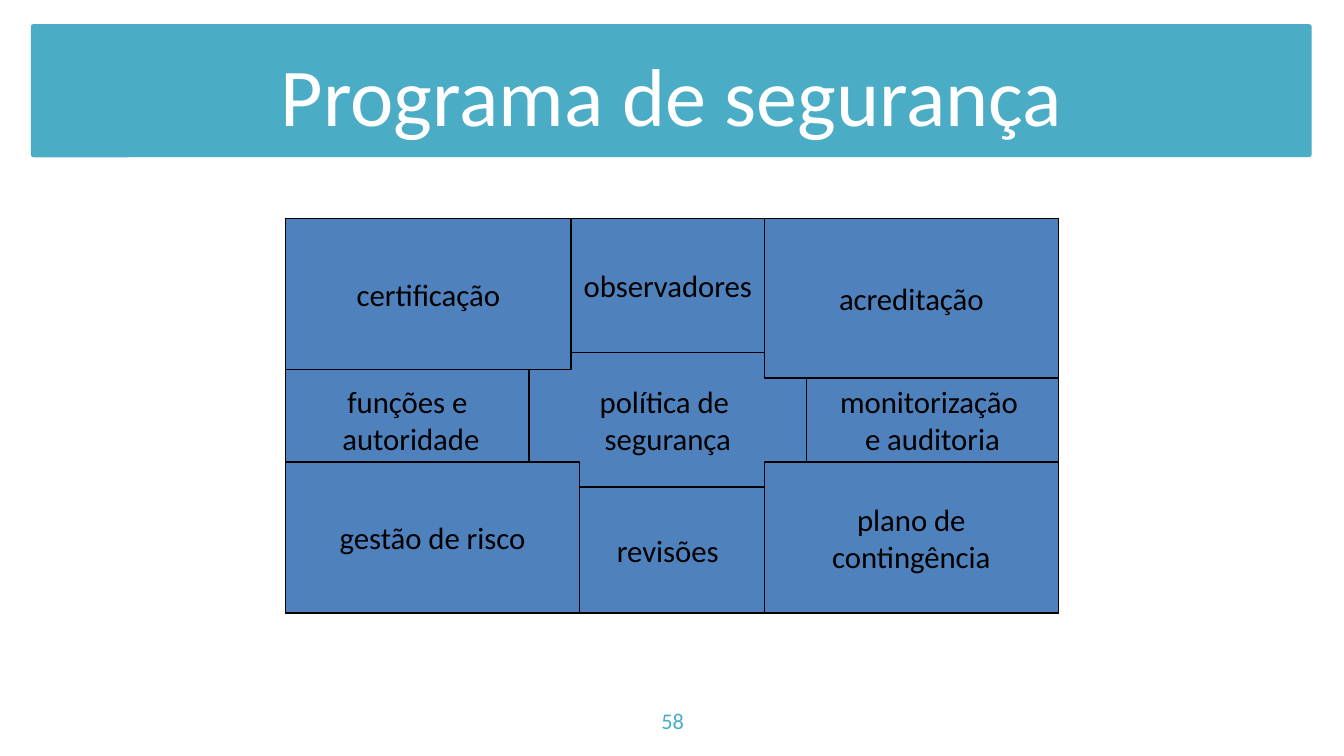
from pptx import Presentation
from pptx import util as u
from pptx.dml.color import RGBColor
from pptx.enum import shapes, text

TITLE = "Programa de segurança"
PAGE = "58"
TEAL, BLUE, BLACK, WHITE = "4BACC6", "4F81BD", "000000", "FFFFFF"
FONT = "Calibri"

WIDTH = 10
HEIGHT = WIDTH * 9 / 16
UNIT = 1 / 16
LEFT, TOP = 34 * UNIT, 26 * UNIT
COLS, ROWS = 92, 47
BLOCKS = [
    ([], 0, 0, COLS, ROWS),
    (["observadores"], 29, 0, 33, 16),
    (["revisões"], 29, 32, 33, 15),
    (["política de ", "segurança"], 29, 16, 33, 16),
    (["monitorização ", "e auditoria"], 62, 16, 30, 16),
    (["funções e", " autoridade"], 0, 16, 29, 16),
    (["gestão de risco"], 0, 29, 35, 18),
    (["certificação"], 0, 0, 34, 18),
    (["acreditação"], 57, 0, 35, 19),
    (["plano de", "contingência"], 57, 29, 35, 18),
]


def rgb(value):
    return RGBColor.from_string(value)


def write(sp, lines, size=16.5, color=BLACK, wrap=True):
    tf = sp.text_frame
    tf.word_wrap = wrap
    tf.auto_size = text.MSO_AUTO_SIZE.NONE
    tf.vertical_anchor = text.MSO_ANCHOR.MIDDLE
    for i, line in enumerate(lines):
        p = tf.add_paragraph() if i else tf.paragraphs[0]
        p.alignment = text.PP_ALIGN.CENTER
        r = p.add_run()
        r.text = line
        r.font.size = u.Pt(size)
        r.font.name = FONT
        r.font.color.rgb = rgb(color)


def box(s, kind, at, fill, line=None):
    sp = s.shapes.add_shape(kind, *map(u.Inches, at))
    sp.shadow.inherit = False
    sp.fill.solid()
    sp.fill.fore_color.rgb = rgb(fill)
    if line:
        sp.line.color.rgb = rgb(line)
        sp.line.width = u.Pt(0.75)
    else:
        sp.line.fill.background()
    return sp


def main():
    prs = Presentation()
    prs.slide_width, prs.slide_height = u.Inches(WIDTH), u.Inches(HEIGHT)
    s = prs.slides.add_slide(prs.slide_layouts[5])

    band = box(s, shapes.MSO_SHAPE.ROUNDED_RECTANGLE, (0.23, 0.18, 9.53, 0.99), TEAL)
    band.adjustments[0] = 0.02
    title = s.shapes.title
    band._element.addnext(title._element)
    title.left, title.top, title.width, title.height = map(u.Inches, (0.5, 0.23, 9, 0.94))
    write(title, [TITLE], size=44, color=WHITE)

    number = s.shapes.add_textbox(*map(u.Inches, (3.42, 5.21, 3.17, 0.3)))
    write(number, [PAGE], size=12, color=TEAL)

    for lines, col, row, cols, rows in BLOCKS:
        at = (LEFT + col * UNIT, TOP + row * UNIT, cols * UNIT, rows * UNIT)
        sp = box(s, shapes.MSO_SHAPE.RECTANGLE, at, BLUE, BLACK)
        write(sp, lines, wrap=False)

    prs.save("out.pptx")


if __name__ == "__main__":
    main()
